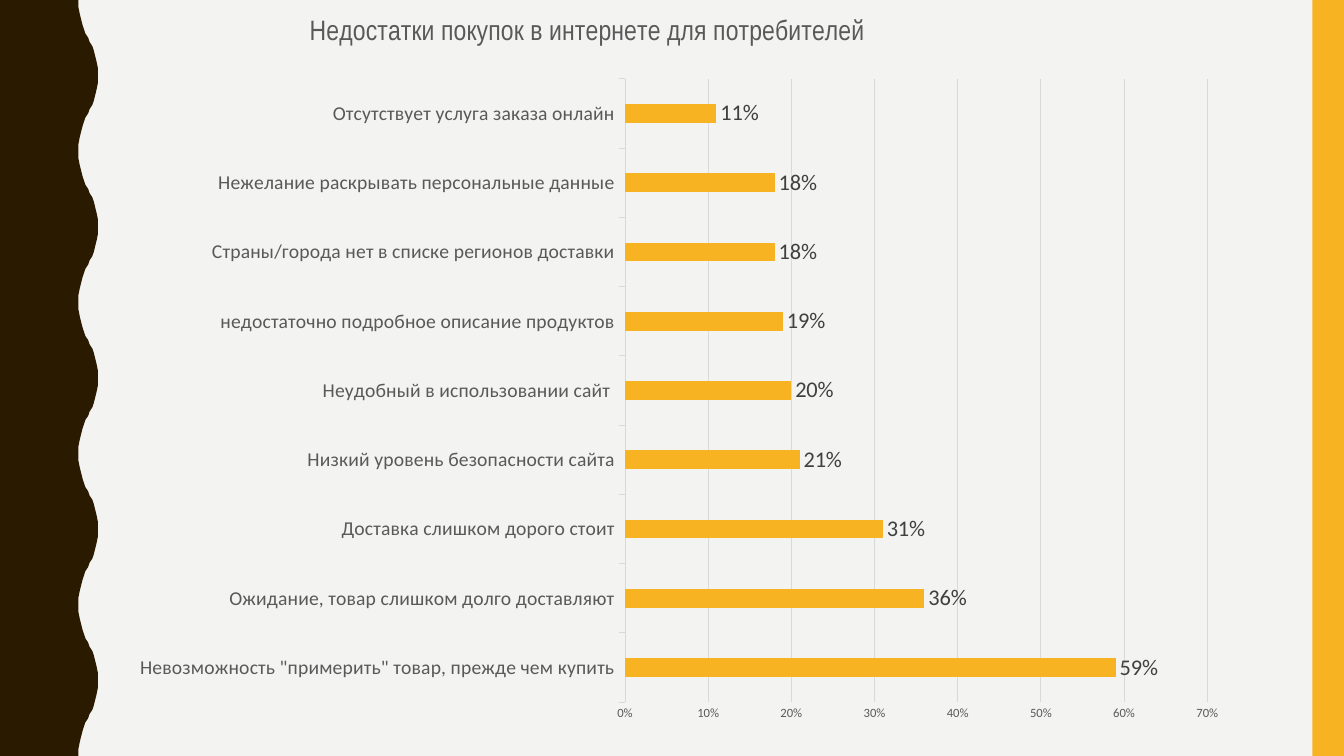
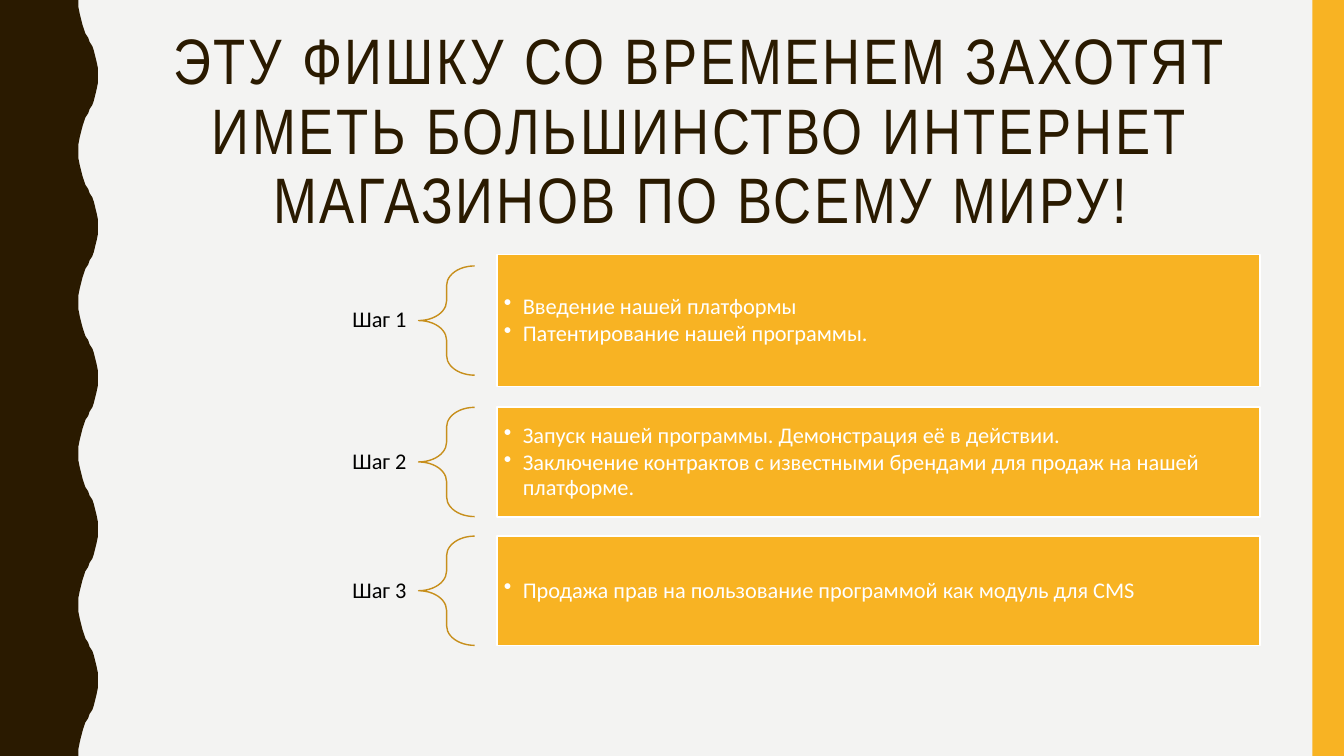
from lxml import etree
from pptx import Presentation
from pptx.chart.data import CategoryChartData
from pptx.dml.color import RGBColor
from pptx.enum.chart import XL_CHART_TYPE, XL_LABEL_POSITION, XL_TICK_MARK
from pptx.enum.shapes import MSO_SHAPE
from pptx.enum.text import MSO_ANCHOR, PP_ALIGN
from pptx.oxml.ns import qn
from pptx.util import Pt

BAR_CLUSTERED = XL_CHART_TYPE.BAR_CLUSTERED
OUTSIDE_END = XL_LABEL_POSITION.OUTSIDE_END
TICK_NONE, TICK_OUTSIDE = XL_TICK_MARK.NONE, XL_TICK_MARK.OUTSIDE
RECTANGLE, LEFT_BRACE = MSO_SHAPE.RECTANGLE, MSO_SHAPE.LEFT_BRACE
MIDDLE = MSO_ANCHOR.MIDDLE
LEFT, CENTER, RIGHT = PP_ALIGN.LEFT, PP_ALIGN.CENTER, PP_ALIGN.RIGHT

PAPER, BROWN, AMBER, OCHRE = "F3F3F2", "2A1A00", "F8B323", "C78F1C"
WHITE, BLACK, GRID, GREY, DARK_GREY = "FFFFFF", "000000", "D9D9D9", "595959", "404040"
HEADING_FONT, BODY_FONT = "Arial Narrow", "Calibri"
WIDTH, HEIGHT = 960, 540


def rgb(value):
    return RGBColor.from_string(value)


def place(element, index, **fractions):
    """Give a chart part a manual layout in fractions of the chart area."""
    for old in element.findall(qn("c:layout")):
        element.remove(old)
    layout = etree.Element(qn("c:layout"))
    element.insert(index, layout)
    manual = etree.SubElement(layout, qn("c:manualLayout"))
    for tag, value in fractions.items():
        etree.SubElement(manual, qn("c:" + tag)).set("val", str(value))


prs = Presentation()
prs.slide_width, prs.slide_height = Pt(WIDTH), Pt(HEIGHT)
background = prs.slide_master.background.fill
background.solid()
background.fore_color.rgb = rgb(PAPER)
blank = prs.slide_layouts[6]
drawbacks_slide = prs.slides.add_slide(blank)
steps_slide = prs.slides.add_slide(blank)

# Bands on both slides: wavy edge on the left, plain bar on the right
WAVE_PERIOD = 108
half_wave = [
    (56, 0), (56.4, 5), (57, 9.9), (57.6, 14.2), (58.6, 17.8),
    (59.8, 21), (61.2, 24), (62.6, 27), (64, 30), (65.5, 33),
    (66.9, 36.2), (68, 39.8), (69, 44.1), (69.6, 49), (69.9, 54),
]
wave = half_wave + [(x, WAVE_PERIOD - y) for x, y in half_wave[-2::-1]]
edge = [(x, y + top) for top in range(0, HEIGHT, WAVE_PERIOD) for x, y in wave]

for slide in (drawbacks_slide, steps_slide):
    outline = slide.shapes.build_freeform(0, 0, scale=Pt(1))
    outline.add_line_segments(edge + [(0, HEIGHT)], close=True)
    wavy_band = outline.convert_to_shape()
    amber_band = slide.shapes.add_shape(RECTANGLE, Pt(937.5), 0, Pt(22.5), Pt(HEIGHT))
    for band, color in ((wavy_band, BROWN), (amber_band, AMBER)):
        band.shadow.inherit = False
        band.fill.solid()
        band.fill.fore_color.rgb = rgb(color)
        band.line.fill.background()

# Slide 1: drawbacks of online shopping
drawbacks = [
    ('Невозможность "примерить" товар, прежде чем купить', 0.59),
    ("Ожидание, товар слишком долго доставляют", 0.36),
    ("Доставка слишком дорого стоит", 0.31),
    ("Низкий уровень безопасности сайта", 0.21),
    ("Неудобный в использовании сайт ", 0.2),
    ("недостаточно подробное описание продуктов", 0.19),
    ("Страны/города нет в списке регионов доставки", 0.18),
    ("Нежелание раскрывать персональные данные", 0.18),
    ("Отсутствует услуга заказа онлайн", 0.11),
]
data = CategoryChartData(number_format="0%")
data.categories = [reason for reason, share in drawbacks]
data.add_series("Series 1", [share for reason, share in drawbacks])
chart = drawbacks_slide.shapes.add_chart(
    BAR_CLUSTERED, Pt(83.5), 0, Pt(803), Pt(527), data).chart
chart.has_legend = False
chart.font.name = BODY_FONT
chart.font.size = Pt(10)

chart.has_title = True
heading = chart.chart_title.text_frame.paragraphs[0]
heading.text = "Недостатки покупок в интернете для потребителей"
chart.chart_title.include_in_layout = False

plot = chart.plots[0]
plot.gap_width = 269
plot.vary_by_categories = False
bars = plot.series[0].format.fill
bars.solid()
bars.fore_color.rgb = rgb(AMBER)
plot.has_data_labels = True
labels = plot.data_labels
labels.show_value = True
labels.position = OUTSIDE_END
labels.number_format = "0%"
labels.number_format_is_linked = False

reasons, shares = chart.category_axis, chart.value_axis
reasons.major_tick_mark = TICK_OUTSIDE
shares.major_tick_mark = TICK_NONE
shares.minimum_scale, shares.maximum_scale, shares.major_unit = 0, 0.7, 0.1
shares.tick_labels.number_format = "0%"
shares.tick_labels.number_format_is_linked = False
shares.format.line.fill.background()
for line in (reasons.format.line, shares.major_gridlines.format.line):
    line.color.rgb = rgb(GRID)
    line.width = Pt(0.75)

for font, name, size, color in (
    (heading.font, HEADING_FONT, 20, GREY),
    (labels.font, BODY_FONT, 16, DARK_GREY),
    (reasons.tick_labels.font, BODY_FONT, 14, GREY),
    (shares.tick_labels.font, BODY_FONT, 9, GREY),
):
    font.name = name
    font.size = Pt(size)
    font.bold = False
    font.color.rgb = rgb(color)

place(chart.chart_title._element, 1, xMode="edge", yMode="edge", x=0.167, y=0.015)
plot_area = chart._chartSpace.find(".//" + qn("c:plotArea"))
place(plot_area, 0, layoutTarget="inner", xMode="edge", yMode="edge",
      x=0.452, y=0.107, w=0.518, h=0.845)

# Slide 2: heading and three steps
title = steps_slide.shapes.add_textbox(Pt(100), Pt(17.3), Pt(801), Pt(117.4)).text_frame
title.word_wrap = True
slogan = title.paragraphs[0]
slogan.text = ("ЭТУ ФИШКУ СО ВРЕМЕНЕМ ЗАХОТЯТ ИМЕТЬ БОЛЬШИНСТВО "
               "ИНТЕРНЕТ МАГАЗИНОВ ПО ВСЕМУ МИРУ!")
slogan.alignment = CENTER
slogan.line_spacing = 0.9
slogan.font.name = HEADING_FONT
slogan.font.size = Pt(45.9)
slogan.font.color.rgb = rgb(BROWN)
slogan.runs[0]._r.get_or_add_rPr().set("spc", "200")

BRACE_LEFT, BRACE_HEIGHT = 299, 78
steps = [
    ("Шаг 1", 190, 94.5, ["Введение нашей платформы",
                          "Патентирование нашей программы."]),
    ("Шаг 2", 291, 78.5, ["Запуск нашей программы. Демонстрация её в действии.",
                          "Заключение контрактов с известными брендами для продаж "
                          "на нашей платформе."]),
    ("Шаг 3", 383, 78, ["Продажа прав на пользование программой как модуль для CMS"]),
]
for name, top, box_height, actions in steps:
    label = steps_slide.shapes.add_textbox(
        Pt(99), Pt(top), Pt(BRACE_LEFT - 99), Pt(BRACE_HEIGHT)).text_frame
    label.word_wrap = True
    label.vertical_anchor = MIDDLE
    label.margin_left = label.margin_right = Pt(8.6)
    step_name = label.paragraphs[0]
    step_name.text = name
    step_name.alignment = RIGHT
    step_name.line_spacing = 0.9
    step_name.font.name = BODY_FONT
    step_name.font.size = Pt(16)
    step_name.font.color.rgb = rgb(BLACK)

    brace = steps_slide.shapes.add_shape(
        LEFT_BRACE, Pt(BRACE_LEFT), Pt(top), Pt(40), Pt(BRACE_HEIGHT))
    brace.shadow.inherit = False
    brace.adjustments[0], brace.adjustments[1] = 0.35, 0.5
    brace.fill.background()
    brace.line.color.rgb = rgb(OCHRE)
    brace.line.width = Pt(1)

    box_top = top + (BRACE_HEIGHT - box_height) / 2
    box = steps_slide.shapes.add_shape(
        RECTANGLE, Pt(355), Pt(box_top), Pt(545), Pt(box_height))
    box.shadow.inherit = False
    box.fill.solid()
    box.fill.fore_color.rgb = rgb(AMBER)
    box.line.color.rgb = rgb(WHITE)
    box.line.width = Pt(1)
    content = box.text_frame
    content.word_wrap = True
    content.vertical_anchor = MIDDLE
    content.margin_left = content.margin_right = Pt(5)
    content.margin_top = content.margin_bottom = Pt(5)
    for i, action in enumerate(actions):
        item = content.add_paragraph() if i else content.paragraphs[0]
        item.text = action
        item.alignment = LEFT
        item.line_spacing = 0.9
        item.space_after = Pt(2.4)
        properties = item._p.get_or_add_pPr()
        properties.set("marL", str(Pt(13.5)))
        properties.set("indent", str(-Pt(13.5)))
        etree.SubElement(properties, qn("a:buChar")).set("char", "•")
        item.font.name = BODY_FONT
        item.font.size = Pt(16)
        item.font.color.rgb = rgb(WHITE)

prs.save("out.pptx")
